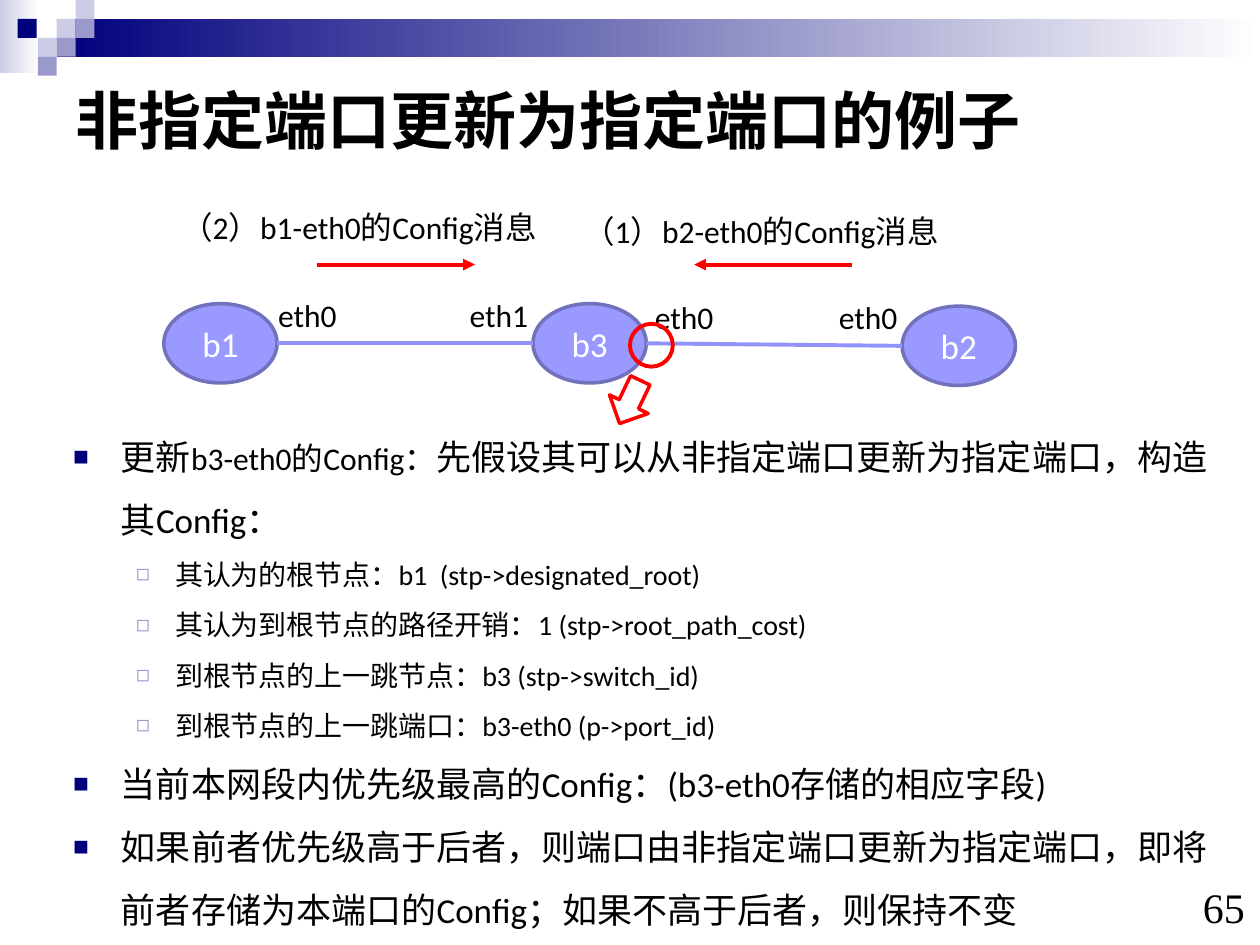
from dataclasses import dataclass

from lxml.etree import SubElement
from pptx import Presentation
from pptx.dml.color import RGBColor
from pptx.enum.shapes import MSO_CONNECTOR, MSO_SHAPE as Shape
from pptx.enum.text import MSO_ANCHOR as Anchor, MSO_AUTO_SIZE as AutoSize, PP_ALIGN as Align
from pptx.oxml.ns import qn
from pptx.util import Inches, Pt


@dataclass(frozen=True)
class Theme:
    font: str = "Calibri"
    number_font: str = "Times New Roman"
    black: str = "000000"
    white: str = "FFFFFF"
    navy: str = "00007D"
    lilac: str = "9999CC"
    pale: str = "CCCCE6"
    bridge: str = "9999FF"
    bridge_edge: str = "7171BC"
    link: str = "9292FB"
    red: str = "FF0000"
    title: int = 36
    number: int = 24
    body: int = 20
    label: int = 18
    detail: int = 16


T = Theme()

TITLE = "非指定端口更新为指定端口的例子"
PAGE_NUMBER = "65"
# (level, [(text, size), ...])
BODY = [
    (0, [("更新", T.body), ("b3-eth0的Config：", T.label),
         ("先假设其可以从非指定端口更新为指定端口，构造其Config：", T.body)]),
    (1, [("其认为的根节点：b1  (stp->designated_root)", T.detail)]),
    (1, [("其认为到根节点的路径开销：1 (stp->root_path_cost)", T.detail)]),
    (1, [("到根节点的上一跳节点：b3 (stp->switch_id)", T.detail)]),
    (1, [("到根节点的上一跳端口：b3-eth0 (p->port_id)", T.detail)]),
    (0, [("当前本网段内优先级最高的Config：(b3-eth0存储的相应字段)", T.body)]),
    (0, [("如果前者优先级高于后者，则端口由非指定端口更新为指定端口，即将前者存储为"
          "本端口的Config；如果不高于后者，则保持不变", T.body)]),
]
# level: (bullet, colour, size in %, text indent, hanging indent)
BULLETS = {0: ("■", T.navy, 75, 0.38, 0.38), 1: ("◻", T.lilac, 80, 0.81, 0.31)}

BRIDGES = [("b1", 2.41), ("b3", 2.41), ("b2", 2.43)]  # name, top
BRIDGE_LEFT, BRIDGE_PITCH, BRIDGE_W, BRIDGE_H = 1.3, 2.93, 0.9, 0.63
PORTS = [("eth0", 2.11, 2.3), ("eth1", 3.63, 2.3), ("eth0", 5.1, 2.32), ("eth0", 6.56, 2.32)]
# text, left, top, arrow start, arrow end
MESSAGES = [("（1）b2-eth0的Config消息", 4.53, 1.63, 6.76, 5.51),
            ("（2）b1-eth0的Config消息", 1.34, 1.6, 2.52, 3.77)]
MESSAGE_ARROW_Y = 2.1

TILE = 0.15
TILES = [(0.45, 0.15, T.pale), (0.6, 0, T.pale), (0.6, 0.15, T.lilac), (0.3, 0.3, T.pale),
         (0.14, 0.15, T.navy), (0.45, 0.3, T.lilac), (0.3, 0.45, T.lilac)]
# left, top, width, height, colour fading to white
BANDS = [(0, 0, 0.31, 0.58, T.pale), (0.45, 0.15, 9.55, 0.3, T.navy)]


def rgb(value):
    return RGBColor.from_string(value)


def box(*lengths):
    return [Inches(length) for length in lengths]


def set_font(font, size, color=T.black, name=T.font, bold=None):
    font.name, font.size, font.bold = name, Pt(size), bold
    font.color.rgb = rgb(color)


def add_shape(slide, kind, place, fill=None, line=None, width=2):
    shape = slide.shapes.add_shape(kind, *box(*place))
    shape.shadow.inherit = False
    if fill:
        shape.fill.solid()
        shape.fill.fore_color.rgb = rgb(fill)
    else:
        shape.fill.background()
    if line:
        shape.line.color.rgb = rgb(line)
        shape.line.width = Pt(width)
    else:
        shape.line.fill.background()
    return shape


def add_line(slide, start, end, color, arrow=False):
    line = slide.shapes.add_connector(MSO_CONNECTOR.STRAIGHT, *box(*start, *end))
    line.line.color.rgb = rgb(color)
    line.line.width = Pt(2.25)
    properties = line.line._get_or_add_ln()
    if arrow:
        SubElement(properties, qn("a:tailEnd"), type="triangle")
    SubElement(properties.getparent(), qn("a:effectLst"))


def add_text(slide, text, place, size, name=T.font, wrap=True):
    frame = slide.shapes.add_textbox(*box(*place)).text_frame
    frame.word_wrap = wrap
    frame.text = text
    set_font(frame.paragraphs[0].font, size, name=name)
    return frame


def set_bullet(paragraph, char, color, percent, indent, hanging):
    properties = paragraph._p.get_or_add_pPr()
    properties.set("marL", str(Inches(indent)))
    properties.set("indent", str(-Inches(hanging)))
    SubElement(SubElement(properties, qn("a:buClr")), qn("a:srgbClr"), val=color)
    SubElement(properties, qn("a:buSzPct"), val=str(percent * 1000))
    SubElement(properties, qn("a:buChar"), char=char)


def move(placeholder, *place):
    placeholder.left, placeholder.top, placeholder.width, placeholder.height = box(*place)


def add_decoration(slide):
    for *place, color in BANDS:
        band = add_shape(slide, Shape.RECTANGLE, place)
        band.fill.gradient()
        band.fill.gradient_angle = 0
        for stop, (position, shade) in zip(band.fill.gradient_stops, [(0, color), (1, T.white)]):
            stop.position = position
            stop.color.rgb = rgb(shade)
    for left, top, color in TILES:
        add_shape(slide, Shape.RECTANGLE, (left, top, TILE, TILE), color)


def fill_placeholders(slide):
    title, body = slide.placeholders
    move(title, 0.5, 0.5, 9, 0.89)
    title.text_frame.text = TITLE
    title.text_frame.auto_size = AutoSize.NONE
    title.text_frame.vertical_anchor = Anchor.MIDDLE
    heading = title.text_frame.paragraphs[0]
    heading.alignment = Align.LEFT
    set_font(heading.font, T.title, bold=True)

    move(body, 0.48, 3.24, 9.38, 3.49)
    frame = body.text_frame
    frame.auto_size = AutoSize.NONE
    for index, (level, runs) in enumerate(BODY):
        paragraph = frame.add_paragraph() if index else frame.paragraphs[0]
        paragraph.level = level
        set_bullet(paragraph, *BULLETS[level])
        paragraph.line_spacing = 1.5
        paragraph.space_before = Pt(0)
        set_font(paragraph.font, runs[0][1])
        for text, size in runs:
            run = paragraph.add_run()
            run.text = text
            if len(runs) > 1:
                run.font.size = Pt(size)


def add_network(slide):
    lefts = [BRIDGE_LEFT + i * BRIDGE_PITCH for i in range(len(BRIDGES))]
    middles = [top + BRIDGE_H / 2 for _, top in BRIDGES]
    for (name, top), left in zip(BRIDGES, lefts):
        bridge = add_shape(slide, Shape.OVAL, (left, top, BRIDGE_W, BRIDGE_H),
                           T.bridge, T.bridge_edge)
        bridge.text_frame.text = name
        label = bridge.text_frame.paragraphs[0]
        label.alignment = Align.CENTER
        set_font(label.font, T.body, T.white)
    for i in range(len(BRIDGES) - 1):
        add_line(slide, (lefts[i] + BRIDGE_W, middles[i]), (lefts[i + 1], middles[i + 1]), T.link)
    for port, left, top in PORTS:
        add_text(slide, port, (left, top, 0.67, 0.7), T.label)
    for message, left, top, start, end in MESSAGES:
        add_line(slide, (start, MESSAGE_ARROW_Y), (end, MESSAGE_ARROW_Y), T.red, arrow=True)
        add_text(slide, message, (left, top, 3.6, 0.4), T.label, wrap=False)
    add_shape(slide, Shape.OVAL, (5, 2.57, 0.34, 0.34), line=T.red, width=2.25)
    pointer = add_shape(slide, Shape.DOWN_ARROW, (4.83, 3, 0.34, 0.38), line=T.red)
    pointer.rotation = 25.6


def add_page_number(slide):
    frame = add_text(slide, PAGE_NUMBER, (9.38, 7, 0.5, 0.4), T.number, T.number_font)
    frame.margin_left = frame.margin_right = frame.margin_top = frame.margin_bottom = 0
    frame.vertical_anchor = Anchor.BOTTOM
    frame.paragraphs[0].alignment = Align.RIGHT


def main():
    deck = Presentation()
    deck.slide_width, deck.slide_height = box(10, 7.5)
    slide = deck.slides.add_slide(deck.slide_layouts[1])
    add_decoration(slide)
    fill_placeholders(slide)
    add_network(slide)
    add_page_number(slide)
    deck.save("out.pptx")


if __name__ == "__main__":
    main()
